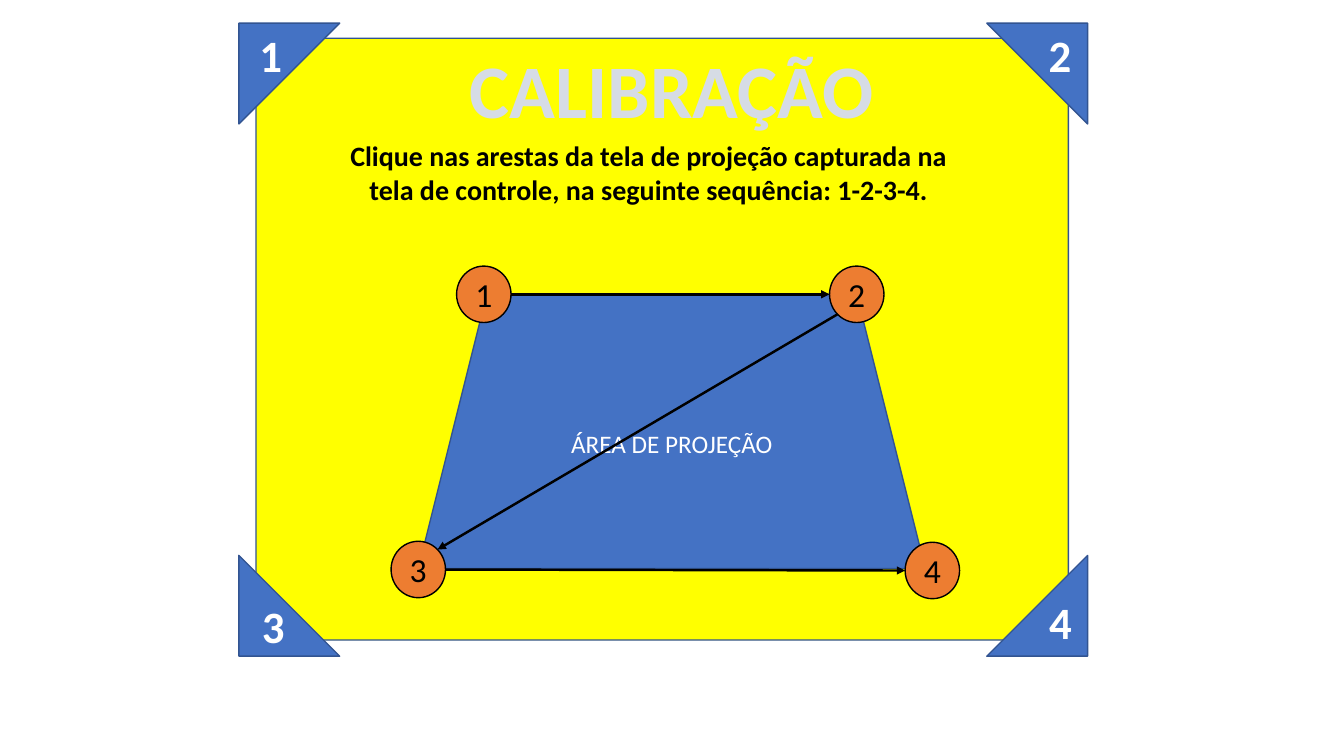
from dataclasses import dataclass
from math import cos, radians, sin

from lxml.etree import SubElement
from pptx import Presentation
from pptx.dml.color import RGBColor
from pptx.enum.dml import MSO_PATTERN
from pptx.enum.shapes import MSO_CONNECTOR, MSO_SHAPE
from pptx.enum.text import MSO_ANCHOR, MSO_AUTO_SIZE, PP_ALIGN
from pptx.oxml import parse_xml
from pptx.oxml.ns import nsdecls, qn
from pptx.util import Emu, Inches, Pt

# Grid: square cells of a twelfth of an inch
COLUMNS, ROWS = 160, 90
CELL = Inches(1) / 12
FONT = "Calibri"
COLORS = {
    "panel": "FFFF00", "blue": "4472C4", "edge": "325491", "orange": "ED7D31",
    "black": "000000", "white": "FFFFFF",
    "title": "D6DCE5", "hatch": "44546A", "outline": "333F50",
}


@dataclass(frozen=True)
class Area:
    column: float
    row: float
    columns: float
    rows: float

    def emu(self) -> list[Emu]:
        return [cells(n) for n in (self.column, self.row, self.columns, self.rows)]

    def rim(self, degrees: float) -> tuple[Emu, Emu]:
        """Point on the inscribed ellipse, clockwise from the right."""
        angle = radians(degrees)
        return (cells(self.column + self.columns / 2 * (1 + cos(angle))),
                cells(self.row + self.rows / 2 * (1 + sin(angle))))


@dataclass(frozen=True)
class Style:
    size: float
    color: str
    bold: bool = False


@dataclass(frozen=True)
class Corner:
    label: str
    column: float
    row: float
    rotation: float
    label_area: Area


@dataclass(frozen=True)
class Arrow:
    start: str
    start_angle: float
    end: str
    end_angle: float


def cells(count: float) -> Emu:
    return Emu(round(count * CELL))


def rgb(name: str) -> RGBColor:
    return RGBColor.from_string(COLORS[name])


def write(box, text: str, style: Style):
    para = box.text_frame.paragraphs[0]
    para.alignment = PP_ALIGN.CENTER
    font = para.font
    font.name, font.size, font.bold = FONT, Pt(style.size), style.bold
    font.color.rgb = rgb(style.color)
    span = para.add_run()
    span.text = text
    return span


def add_figure(page, kind: MSO_SHAPE, area: Area, fill: str, edge: str = "edge"):
    figure = page.shapes.add_shape(kind, *area.emu())
    figure.shadow.inherit = False
    figure.fill.solid()
    figure.fill.fore_color.rgb = rgb(fill)
    figure.line.color.rgb = rgb(edge)
    figure.line.width = Pt(1)
    figure.text_frame.vertical_anchor = MSO_ANCHOR.MIDDLE
    return figure


def add_text(page, area: Area, text: str, style: Style, wrap: bool = True):
    box = page.shapes.add_textbox(*area.emu())
    box.text_frame.word_wrap = wrap
    box.text_frame.auto_size = MSO_AUTO_SIZE.SHAPE_TO_FIT_TEXT
    return write(box, text, style)


def add_arrow(page, arrow: Arrow, markers: dict[str, Area]) -> None:
    connector = page.shapes.add_connector(
        MSO_CONNECTOR.STRAIGHT,
        *markers[arrow.start].rim(arrow.start_angle),
        *markers[arrow.end].rim(arrow.end_angle))
    connector.line.color.rgb = rgb("black")
    connector.line.width = Pt(1.75)
    SubElement(connector.line._get_or_add_ln(), qn("a:tailEnd"), type="triangle")
    SubElement(connector._element.spPr, qn("a:effectLst"))


def decorate_title(span) -> None:
    fill = span.font.fill
    fill.patterned()
    fill.pattern = MSO_PATTERN.DARK_UPWARD_DIAGONAL
    fill.fore_color.rgb = rgb("hatch")
    fill.back_color.rgb = rgb("title")
    outline = parse_xml(
        f'<a:ln {nsdecls("a")} w="{Pt(1)}"><a:solidFill>'
        f'<a:srgbClr val="{COLORS["outline"]}"/></a:solidFill></a:ln>')
    span._r.get_or_add_rPr().insert(0, outline)


MARKERS = {
    label: Area(column, row, 6.48, 6.72)
    for label, column, row in (
        ("1", 54.36, 31.68), ("2", 98.76, 31.68),
        ("3", 46.56, 64.44), ("4", 107.76, 64.56))
}
ARROWS = (
    Arrow("1", 0, "2", 180),
    Arrow("2", 135, "3", 315),
    Arrow("3", 0, "4", 180),
)
LEFT, RIGHT, TOP, BOTTOM, CORNER_SIZE = 28.44, 117.48, 2.76, 66.12, 12
CORNERS = (
    Corner("1", LEFT, TOP, 90, Area(29.04, 2.76, 6.36, 7.68)),
    Corner("2", RIGHT, TOP, 180, Area(123, 2.76, 6.36, 7.68)),
    Corner("3", LEFT, BOTTOM, 0, Area(30, 70.68, 5.04, 7.68)),
    Corner("4", RIGHT, BOTTOM, 270, Area(123.72, 70.2, 5.04, 7.68)),
)


def main() -> None:
    deck = Presentation()
    deck.slide_width, deck.slide_height = cells(COLUMNS), cells(ROWS)
    page = deck.slides.add_slide(deck.slide_layouts[6])

    # Panel and instructions
    panel = add_figure(page, MSO_SHAPE.ROUNDED_RECTANGLE,
                       Area(30.48, 4.56, 96.72, 71.64), "panel")
    panel.adjustments[0] = 0.055
    add_text(page, Area(38.4, 15.96, 77.64, 9.24),
             "Clique nas arestas da tela de projeção capturada na tela de controle, "
             "na seguinte sequência: 1-2-3-4.", Style(20, "black", True))

    # Projection area with its numbered vertices
    projection = add_figure(page, MSO_SHAPE.TRAPEZOID,
                            Area(49.8, 35.04, 60.36, 32.64), "blue")
    write(projection, "ÁREA DE PROJEÇÃO", Style(18, "white"))
    for label, area in MARKERS.items():
        marker = add_figure(page, MSO_SHAPE.OVAL, area, "orange", "black")
        write(marker, label, Style(24, "black"))
    for arrow in ARROWS:
        add_arrow(page, arrow, MARKERS)

    # Title
    decorate_title(add_text(page, Area(54.48, 4.56, 51, 12.12), "CALIBRAÇÃO",
                            Style(54, "title", True), wrap=False))

    # Corner triangles, then their numbers
    for corner in CORNERS:
        area = Area(corner.column, corner.row, CORNER_SIZE, CORNER_SIZE)
        triangle = add_figure(page, MSO_SHAPE.RIGHT_TRIANGLE, area, "blue")
        triangle.rotation = corner.rotation
    for corner in CORNERS:
        add_text(page, corner.label_area, corner.label, Style(32, "white", True))

    deck.save("out.pptx")


if __name__ == "__main__":
    main()
